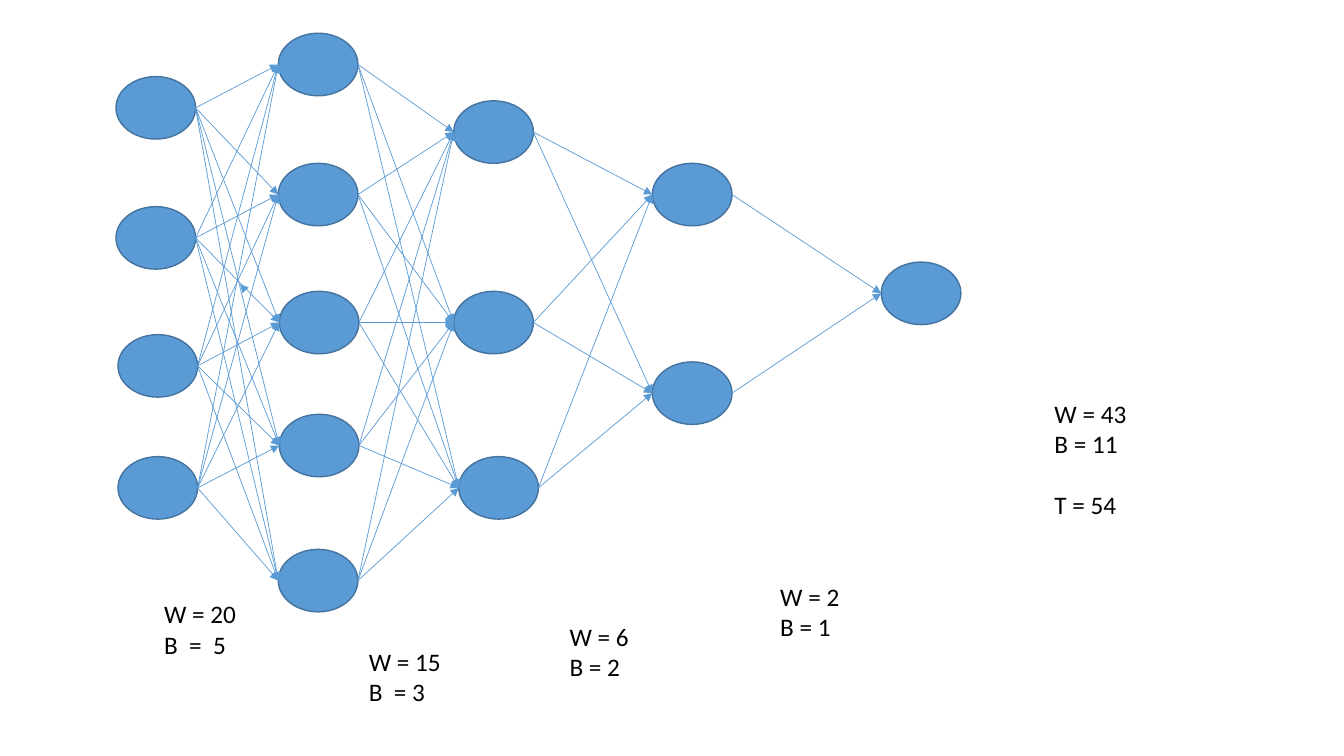
from dataclasses import dataclass
from itertools import pairwise, product

from lxml import etree
from pptx import Presentation, util as u
from pptx.dml.color import RGBColor
from pptx.enum import shapes, text
from pptx.oxml.ns import qn
from pptx.slide import Slide

EMU_PER_PX = 9144  # 100 px to the inch
NEURON_WIDTH, NEURON_HEIGHT = 79, 62
FONT = "Calibri"
COLORS = {"neuron": "5B9BD5", "outline": "43739E", "arrow": "5B9BD5", "text": "000000"}


@dataclass(frozen=True)
class Neuron:
    left: int
    top: int

    @property
    def input_point(self) -> tuple[int, int]:
        return self.left, self.top + NEURON_HEIGHT // 2

    @property
    def output_point(self) -> tuple[int, int]:
        return self.left + NEURON_WIDTH, self.top + NEURON_HEIGHT // 2


@dataclass(frozen=True)
class Count:
    """A note of weights and biases; the total, if any, stands a line apart."""
    left: int
    top: int
    width: int
    height: int
    lines: tuple[str, ...]
    total: str = ""


LAYERS = [
    [Neuron(115, 76), Neuron(115, 205), Neuron(117, 332), Neuron(117, 453)],
    [Neuron(276, 33), Neuron(276, 162), Neuron(277, 289), Neuron(277, 411), Neuron(276, 545)],
    [Neuron(450, 100), Neuron(450, 289), Neuron(455, 453)],
    [Neuron(647, 162), Neuron(647, 359)],
    [Neuron(874, 260)],
]
STRAY_ARROW = ((239, 283), (238, 282))
COUNTS = [
    Count(153, 589, 123, 71, ("W = 20", "B  =  5")),
    Count(356, 636, 100, 71, ("W = 15", "B  = 3")),
    Count(555, 611, 92, 71, ("W = 6", "B = 2")),
    Count(764, 572, 111, 71, ("W = 2", "B = 1")),
    Count(1036, 390, 123, 131, ("W = 43", "B = 11"), total="T = 54"),
]


def px(*lengths: int) -> list[u.Emu]:
    return [u.Emu(length * EMU_PER_PX) for length in lengths]


def color(name: str) -> RGBColor:
    return RGBColor.from_string(COLORS[name])


def add_neuron(page: Slide, neuron: Neuron) -> None:
    ellipse = page.shapes.add_shape(
        shapes.MSO_SHAPE.OVAL, *px(neuron.left, neuron.top, NEURON_WIDTH, NEURON_HEIGHT))
    ellipse.shadow.inherit = False
    ellipse.fill.solid()
    ellipse.fill.fore_color.rgb = color("neuron")
    ellipse.line.color.rgb = color("outline")
    ellipse.line.width = u.Pt(1)


def add_arrow(page: Slide, start: tuple[int, int], end: tuple[int, int]) -> None:
    arrow = page.shapes.add_connector(shapes.MSO_CONNECTOR.STRAIGHT, *px(*start, *end))
    arrow.line.color.rgb = color("arrow")
    arrow.line.width = u.Pt(0.5)
    properties = arrow._element.spPr
    etree.SubElement(properties.find(qn("a:ln")), qn("a:tailEnd"), type="triangle")
    etree.SubElement(properties, qn("a:effectLst"))


def add_count(page: Slide, count: Count) -> None:
    box = page.shapes.add_textbox(*px(count.left, count.top, count.width, count.height))
    frame = box.text_frame
    frame.word_wrap = True
    frame.auto_size = text.MSO_AUTO_SIZE.SHAPE_TO_FIT_TEXT
    lines = count.lines + ((count.total,) if count.total else ())
    for index, line in enumerate(lines):
        para = frame.add_paragraph() if index else frame.paragraphs[0]
        span = para.add_run()
        span.text = line
        span.font.name = FONT
        span.font.size = u.Pt(18)
        span.font.color.rgb = color("text")
    if count.total:
        frame.paragraphs[-1].space_before = u.Pt(22)


def main() -> None:
    deck = Presentation()
    deck.slide_width, deck.slide_height = px(1333, 750)
    page = deck.slides.add_slide(deck.slide_layouts[6])
    for layer in LAYERS:
        for neuron in layer:
            add_neuron(page, neuron)
    for sources, targets in pairwise(LAYERS):
        for source, target in product(sources, targets):
            add_arrow(page, source.output_point, target.input_point)
    add_arrow(page, *STRAY_ARROW)
    for count in COUNTS:
        add_count(page, count)
    deck.save("out.pptx")


if __name__ == "__main__":
    main()
